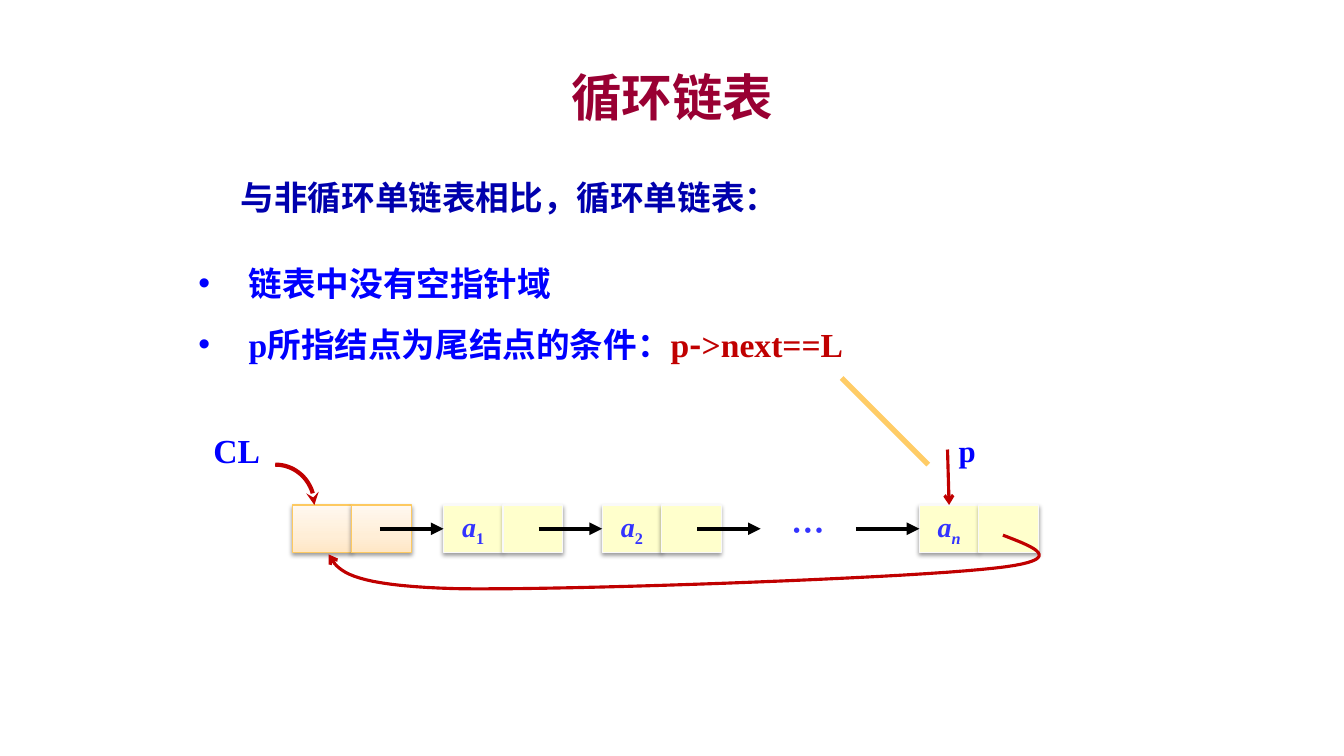
from lxml.etree import SubElement
from pptx import Presentation
from pptx.dml.color import RGBColor
from pptx.enum.shapes import MSO_CONNECTOR, MSO_SHAPE
from pptx.enum.text import MSO_ANCHOR, PP_ALIGN
from pptx.oxml import parse_xml
from pptx.oxml.ns import nsdecls, qn
from pptx.util import Pt

BLUE = RGBColor(0x00, 0x00, 0xFF)
NAVY = RGBColor(0x00, 0x00, 0xAD)
VIOLET = RGBColor(0x33, 0x33, 0xFF)
RED = RGBColor(0xC0, 0x00, 0x00)
MAROON = RGBColor(0x99, 0x00, 0x33)
BLACK = RGBColor(0x00, 0x00, 0x00)
GOLD = RGBColor(0xFF, 0xCC, 0x66)
HEAD_LINE = RGBColor(0xFD, 0xC9, 0x60)
NODE_LINE = RGBColor(0xF9, 0xF9, 0xF9)
NODE_FILL = RGBColor(0xFF, 0xFF, 0xCC)
HEAD_STOPS = [(0, "FFE7C6"), (35, "FFEED7"), (100, "FFF8F0")]

SERIF = "Times New Roman"
SANS = "Noto Sans CJK SC"
CELL_W, CELL_H, ROW_TOP = 42.5, 34, 360.7
ROW_MID = ROW_TOP + CELL_H / 2
HEAD_X, FIRST_X, PITCH, ARROW_LEN = 208.8, 316.8, 113.3, 45.4


class ListSlide:
    def __init__(self, prs):
        self.slide = prs.slides.add_slide(prs.slide_layouts[6])
        self.shapes = self.slide.shapes

    def style_run(self, r, size, color, font=SERIF, italic=False, sub=False):
        r.font.size = Pt(size)
        r.font.bold = True
        r.font.italic = italic
        r.font.name = font
        r.font.color.rgb = color
        rPr = r.font._element
        SubElement(rPr, qn("a:ea")).set("typeface", SANS)
        if sub:
            rPr.set("baseline", "-25000")

    def text(self, x, y, w, h, paragraphs, size, align=PP_ALIGN.LEFT,
             anchor=MSO_ANCHOR.TOP, bullet=False):
        tf = self.shapes.add_textbox(Pt(x), Pt(y), Pt(w), Pt(h)).text_frame
        tf.word_wrap = True
        tf.vertical_anchor = anchor
        for i, runs in enumerate(paragraphs):
            p = tf.add_paragraph() if i else tf.paragraphs[0]
            if bullet:
                pPr = p._p.get_or_add_pPr()
                pPr.set("marL", str(Pt(36)))
                pPr.set("indent", str(Pt(-36)))
                SubElement(pPr, qn("a:buFont")).set("typeface", "Arial")
                SubElement(pPr, qn("a:buChar")).set("char", "•")
                p.line_spacing = 1.5
            p.alignment = align
            for words, color, font in runs:
                r = p.add_run()
                r.text = words
                self.style_run(r, size, color, font)

    def cell(self, x, label="", sub="", italic_sub=False, head=False):
        sp = self.shapes.add_shape(MSO_SHAPE.RECTANGLE, Pt(x), Pt(ROW_TOP),
                                   Pt(CELL_W), Pt(CELL_H))
        spPr = sp._element.spPr
        if head:
            stops = "".join(f'<a:gs pos="{pos * 1000}"><a:srgbClr val="{rgb}"/></a:gs>'
                            for pos, rgb in HEAD_STOPS)
            spPr.insert(2, parse_xml(
                f'<a:gradFill {nsdecls("a")}><a:gsLst>{stops}</a:gsLst>'
                '<a:lin ang="16200000" scaled="0"/></a:gradFill>'))
        else:
            sp.fill.solid()
            sp.fill.fore_color.rgb = NODE_FILL
        sp.line.color.rgb = HEAD_LINE if head else NODE_LINE
        sp.line.width = Pt(0.75)
        spPr.append(parse_xml(
            f'<a:effectLst {nsdecls("a")}><a:outerShdw blurRad="{Pt(3.1)}" dist="{Pt(1.6)}" '
            'dir="5400000" rotWithShape="0"><a:srgbClr val="000000">'
            '<a:alpha val="38000"/></a:srgbClr></a:outerShdw></a:effectLst>'))
        if label:
            tf = sp.text_frame
            tf.word_wrap = False
            tf.vertical_anchor = MSO_ANCHOR.MIDDLE
            p = tf.paragraphs[0]
            p.alignment = PP_ALIGN.CENTER
            p.text = label
            self.style_run(p.runs[0], 20, VIOLET, italic=True)
            r = p.add_run()
            r.text = sub
            self.style_run(r, 20, VIOLET, italic=italic_sub, sub=True)
        return sp

    def stroke(self, sp, color, width, tail):
        sp.line.color.rgb = color
        sp.line.width = Pt(width)
        if tail:
            ln = sp._element.spPr.find(qn("a:ln"))
            SubElement(ln, qn("a:tailEnd")).set("type", tail)

    def line(self, x1, y1, x2, y2, color, width, tail=None, target=None, site=1):
        c = self.shapes.add_connector(MSO_CONNECTOR.STRAIGHT,
                                      Pt(x1), Pt(y1), Pt(x2), Pt(y2))
        if target is not None:
            c.end_connect(target, site)
        self.stroke(c, color, width, tail)
        SubElement(c._element.spPr, qn("a:effectLst"))

    def curve(self, start, beziers, color, width, tail, steps=20):
        points, a = [], start
        for b, c, d in beziers:
            for i in range(1, steps + 1):
                t = i / steps
                u = 1 - t
                points.append(tuple(
                    Pt(u**3 * a[k] + 3 * u * u * t * b[k] + 3 * u * t * t * c[k] + t**3 * d[k])
                    for k in (0, 1)))
            a = d
        builder = self.shapes.build_freeform(Pt(start[0]), Pt(start[1]))
        builder.add_line_segments(points, close=False)
        sp = builder.convert_to_shape()
        sp.shadow.inherit = False
        sp.fill.background()
        self.stroke(sp, color, width, tail)


def main():
    prs = Presentation()
    prs.slide_width, prs.slide_height = Pt(960), Pt(540)
    s = ListSlide(prs)

    s.text(72, 41.8, 816, 54, [[("循环链表", MAROON, SANS)]], 36,
           PP_ALIGN.CENTER, MSO_ANCHOR.MIDDLE)
    s.text(164.9, 123.1, 478, 36.7,
           [[("与非循环单链表相比，循环单链表：", NAVY, SANS)]], 24)
    s.text(134.6, 169.9, 558, 89.3, [
        [("链表中没有空指针域", BLUE, SERIF)],
        [("p所指结点为尾结点的条件：", BLUE, SERIF), ("p", RED, SERIF),
         ("-", RED, SANS), (">next==L", RED, SERIF)],
    ], 24, bullet=True)

    for x in (HEAD_X, HEAD_X + CELL_W):
        s.cell(x, head=True)
    nodes = {}
    for slot, sub in ((0, "1"), (1, "2"), (3, "n")):
        x = FIRST_X + slot * PITCH
        nodes[slot] = s.cell(x, "a", sub, italic_sub=sub == "n")
        s.cell(x + CELL_W)
    s.text(554.4, ROW_TOP, 45.4, 36, [[("…", VIOLET, SANS)]], 24, PP_ALIGN.CENTER)

    for slot in range(4):
        x = FIRST_X + slot * PITCH
        s.line(x - ARROW_LEN, ROW_MID, x, ROW_MID, BLACK, 3, "triangle", nodes.get(slot))

    s.curve((196.6, 331.9), [((212.4, 331.9), (224.6, 344.9), (224.6, ROW_TOP))],
            RED, 3, "stealth")
    s.text(145.4, 303.8, 56.9, 36, [[("CL", BLUE, SERIF)]], 24)
    s.curve((716.4, 382.3), [
        ((740.9, 391.7), (766.1, 401), (700.6, 406.8)),
        ((635.8, 413.3), (403.2, 421.9), (325.4, 420.5)),
        ((247.7, 418.3), (241.2, 407.5), (234.7, 396)),
    ], RED, 2.25, "arrow")
    s.line(676.8, 321.1, 677.9, ROW_TOP, RED, 2.25, "arrow", nodes[3], 0)
    s.text(676.8, 304.6, 28.1, 33.8, [[("p", BLUE, SERIF)]], 22, PP_ALIGN.CENTER)
    s.line(601.2, 270, 663.1, 331.9, GOLD, 3.75)

    prs.save("out.pptx")


if __name__ == "__main__":
    main()
